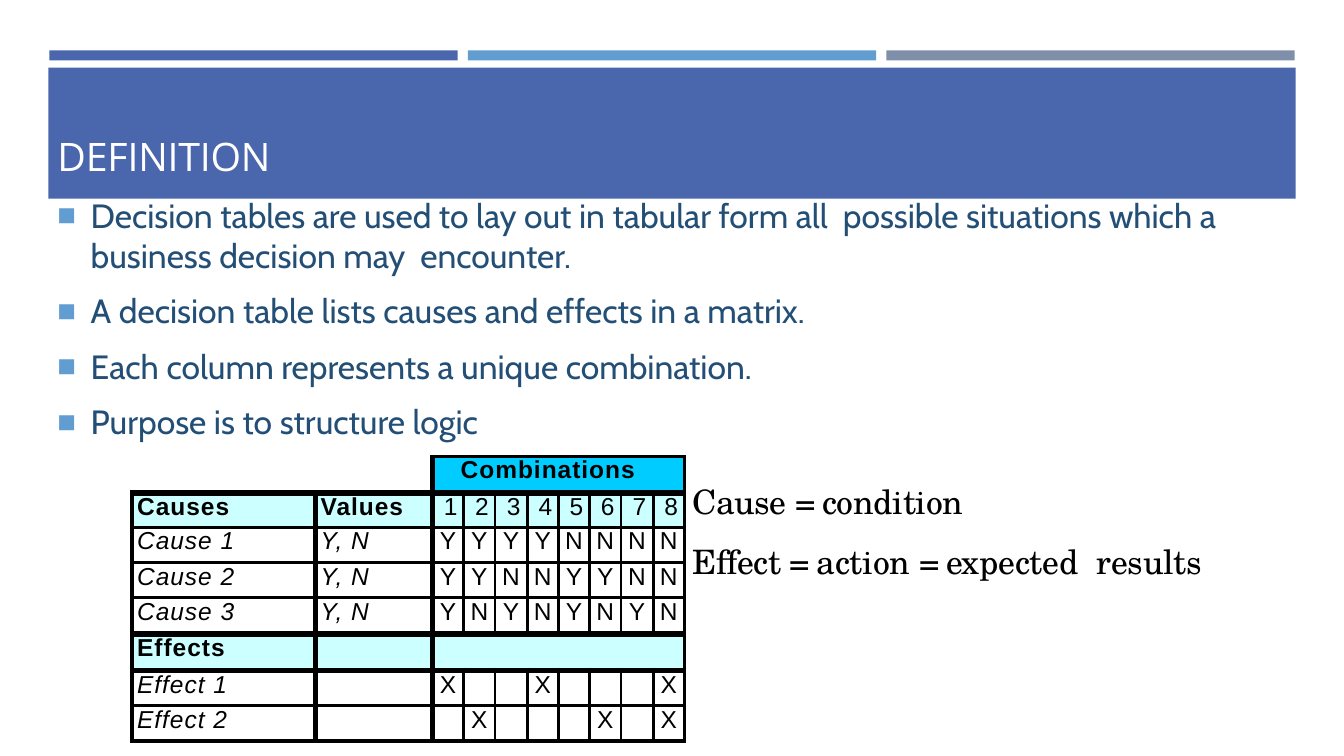
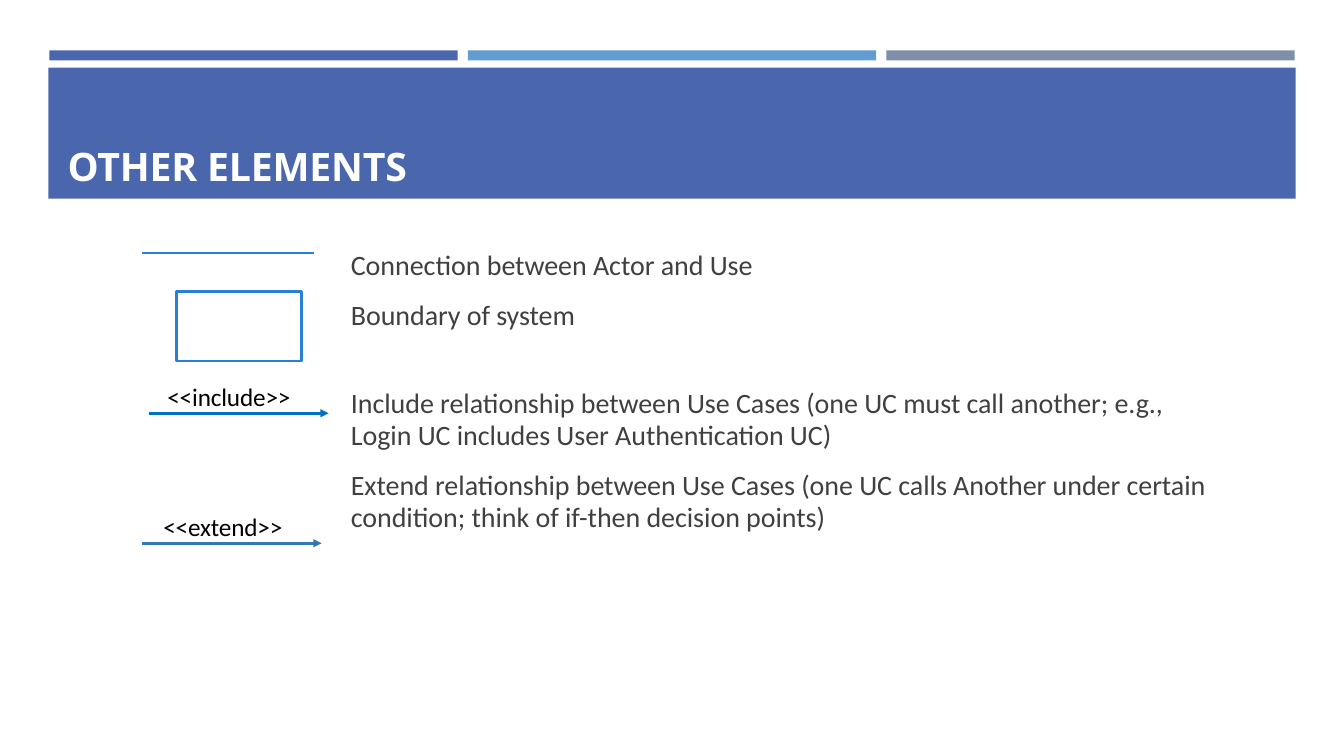
from lxml import etree
from pptx import Presentation
from pptx import util as u
from pptx.dml.color import RGBColor
from pptx.enum import shapes, text
from pptx.oxml.ns import qn

PX = 9144
COLORS = {
    "indigo": "4A66AC", "sky": "629DD1", "slate": "7F8FA9", "white": "FFFFFF",
    "black": "000000", "navy": "234F77", "gray": "404040", "blue": "297FD5",
    "include": "0070C0", "extend": "3477B2", "cyan": "00CCFF", "pale": "CCFFFF",
}
BANDS = ["indigo", "sky", "slate"]
COLUMN_WIDTHS = [182, 116] + [31, 31, 32, 31] * 2
ROW_HEIGHTS = [36, 34, 35, 35, 36, 36, 35, 35]
COLUMN_LINES = [3, 4.25, 4.25] + [2.25] * 7 + [3]
ROW_LINES = [3, 4.25, 2.25, 2.25, 2.25, 4.25, 4.25, 2.25, 3]
HEADINGS = {0: "cyan", 1: "pale", 5: "pale"}
DECISIONS = [
    ["", "", "Combinations"],
    ["Causes", "Values", *"12345678"],
    ["Cause 1", "Y, N", *"YYYYNNNN"],
    ["Cause 2", "Y, N", *"YYNNYYNN"],
    ["Cause 3", "Y, N", *"YNYNYNYN"],
    ["Effects"],
    ["Effect 1", "", *"X--X---X"],
    ["Effect 2", "", *"-X---X-X"],
]


def px(*lengths):
    return [length * PX for length in lengths]


def color(name):
    return RGBColor.from_string(COLORS[name])


def add_xml(parent, tag, **attributes):
    return etree.SubElement(parent, qn(tag), attributes)


def add_bullet(para):
    props = para._p.get_or_add_pPr()
    props.set("marL", str(33 * PX))
    props.set("indent", str(-33 * PX))
    add_xml(add_xml(props, "a:buClr"), "a:srgbClr", val=COLORS["sky"])
    add_xml(props, "a:buSzPct", val="92000")
    add_xml(props, "a:buFont", typeface="Arial")
    add_xml(props, "a:buChar", char="■")


def write(frame, paragraphs, font, size, ink, bold=False, italic=False, spacing=0,
          align=text.PP_ALIGN.LEFT, line=None, after=0, bullet=False):
    for index, content in enumerate(paragraphs):
        para = frame.add_paragraph() if index else frame.paragraphs[0]
        para.alignment = align
        para.space_before = u.Pt(0)
        para.space_after = u.Pt(after)
        if line:
            para.line_spacing = line
        if bullet:
            add_bullet(para)
        spans = [(content, spacing)] if isinstance(content, str) else content
        for words, gap in spans:
            span = para.add_run()
            span.text = words
            span.font.name = font
            span.font.size = u.Pt(size)
            span.font.bold = bold
            span.font.italic = italic
            span.font.color.rgb = color(ink)
            span._r.get_or_add_rPr().set("spc", str(round(gap * 100)))


def clear_margins(frame):
    frame.margin_left = frame.margin_right = frame.margin_bottom = 0
    frame.margin_top = PX
    frame.word_wrap = True
    frame.auto_size = text.MSO_AUTO_SIZE.NONE


def add_text(page, at, paragraphs, **style):
    frame = page.shapes.add_textbox(*px(*at)).text_frame
    clear_margins(frame)
    write(frame, paragraphs, **style)


def add_box(page, at, fill, line=None):
    box = page.shapes.add_shape(shapes.MSO_SHAPE.RECTANGLE, *px(*at))
    box.shadow.inherit = False
    box.fill.solid()
    box.fill.fore_color.rgb = color(fill)
    if line:
        box.line.color.rgb = color(line)
        box.line.width = u.Pt(1.75)
    else:
        box.line.fill.background()
    return box


def add_line(page, left, right, y, ink, arrow=False):
    line = page.shapes.add_connector(shapes.MSO_CONNECTOR.STRAIGHT, *px(left, y, right, y))
    line.line.color.rgb = color(ink)
    line.line.width = u.Pt(1.75)
    if arrow:
        add_xml(line.line._get_or_add_ln(), "a:tailEnd", type="triangle", w="med", len="med")
    add_xml(line.element.spPr, "a:effectLst")


def add_page(deck, title, left, top, bold=False):
    page = deck.slides.add_slide(deck.slide_layouts[5])
    holder = page.shapes.title
    holder.left, holder.top, holder.width, holder.height = px(left, top, 1206, 53)
    clear_margins(holder.text_frame)
    holder.text_frame.vertical_anchor = text.MSO_ANCHOR.BOTTOM
    write(holder.text_frame, [title], font="Open Sans", size=28, ink="white",
          bold=bold, spacing=-0.1)
    return page


def move_bands_to_layout(page):
    bands = [add_box(page, (49 + 415 * i, 50, 405, 10), fill) for i, fill in enumerate(BANDS)]
    bands.append(add_box(page, (48, 67, 1237, 130), "indigo"))
    for band in bands:
        page.slide_layout.shapes.element.insert(2, band.element)


def set_borders(cell, row, column):
    last = len(COLUMN_WIDTHS) - 1
    right = column + (cell.span_width if cell.is_merge_origin else 1)
    corner = row == 0 and column < 2
    widths = {
        "L": None if corner or cell.is_spanned else COLUMN_LINES[column],
        "R": COLUMN_LINES[right] if not cell.is_spanned or column == last else None,
        "T": None if corner else ROW_LINES[row],
        "B": ROW_LINES[row + 1],
    }
    props = cell._tc.get_or_add_tcPr()
    for side, width in widths.items():
        if width:
            edge = add_xml(props, f"a:ln{side}", w=str(u.Pt(width)))
            add_xml(add_xml(edge, "a:solidFill"), "a:srgbClr", val=COLORS["black"])


def fill_cell(cell, words, row, column):
    label = column < 2
    heading = row in HEADINGS
    cell.margin_right = cell.margin_top = cell.margin_bottom = 0
    cell.margin_left = (28 if row == 0 else 5 if label or heading else 0) * PX
    set_borders(cell, row, column)
    if heading and not (row == 0 and label):
        cell.fill.solid()
        cell.fill.fore_color.rgb = color(HEADINGS[row])
    else:
        cell.fill.background()
    centred = not label and row > 0
    write(cell.text_frame, [words] if words else [[]], font="Arial", size=17.5, ink="black",
          bold=heading and not centred, italic=label and not heading,
          spacing=0 if centred else 0.7, line=u.Pt(20 if row else 19.4),
          align=text.PP_ALIGN.CENTER if centred else text.PP_ALIGN.LEFT)


def add_decision_table(page, left, top):
    size = (len(ROW_HEIGHTS), len(COLUMN_WIDTHS))
    area = px(left, top, sum(COLUMN_WIDTHS), sum(ROW_HEIGHTS))
    table = page.shapes.add_table(*size, *area).table
    table.first_row = table.horz_banding = False
    for column, width in zip(table.columns, COLUMN_WIDTHS):
        column.width = width * PX
    for row, height in zip(table.rows, ROW_HEIGHTS):
        row.height = height * PX
    for row, first, last in [(0, 0, 1), (0, 2, 9), (5, 2, 9)]:
        table.cell(row, first).merge(table.cell(row, last))
    for row, words in enumerate(DECISIONS):
        padded = words + [""] * (size[1] - len(words))
        for column, word in enumerate(padded):
            fill_cell(table.cell(row, column), word.strip("-"), row, column)


def build_definition(deck):
    page = add_page(deck, "DEFINITION", 57, 125)
    move_bands_to_layout(page)
    add_decision_table(page, 131, 453)
    add_text(page, (57, 192, 1217, 255), [
        "Decision tables are used to lay out in tabular form all  possible situations "
        "which a business decision may  encounter.",
        "A decision table lists causes and effects in a matrix.",
        "Each column represents a unique combination.",
        "Purpose is to structure logic",
    ], font="Cabin", size=24, ink="navy", after=10.8, bullet=True)
    add_text(page, (687, 476, 587, 105), [
        [("Cause ", -0.3), ("= ", -2.2), ("condition", -0.2)],
        [("Effect ", -0.4), ("= ", -2.2), ("action ", -0.1), ("= ", -2.2),
         ("expected  results", -0.2)],
    ], font="TeX Gyre Schola", size=24, ink="black", after=14.4)


def build_elements(deck):
    page = add_page(deck, "OTHER ELEMENTS", 67, 135, bold=True)
    notes = dict(font="Calibri", size=20, ink="gray", spacing=-0.06)
    add_text(page, (348, 228, 462, 97), ["Connection between Actor and Use", "Boundary of system"],
             line=1.49, **notes)
    add_text(page, (348, 383, 855, 160), [
        "Include relationship between Use Cases (one UC must call another; e.g., "
        "Login UC includes User Authentication UC)",
        "Extend relationship between Use Cases (one UC calls Another under certain  "
        "condition; think of if-then decision points)",
    ], line=u.Pt(22.8), after=13, **notes)
    add_line(page, 141, 311, 251, "blue")
    add_box(page, (175, 289, 124, 69), "white", "blue")
    for name, left, label_left, y in [("include", 148, 166, 410), ("extend", 141, 162, 539)]:
        add_line(page, left, left + 178, y, name, arrow=True)
        add_text(page, (label_left, y - 33, 149, 32), [f"<<{name}>>"],
                 font="Calibri", size=18, ink="black", spacing=-0.1)


def main():
    deck = Presentation()
    deck.slide_width, deck.slide_height = px(1333, 750)
    build_definition(deck)
    build_elements(deck)
    deck.save("out.pptx")


if __name__ == "__main__":
    main()
